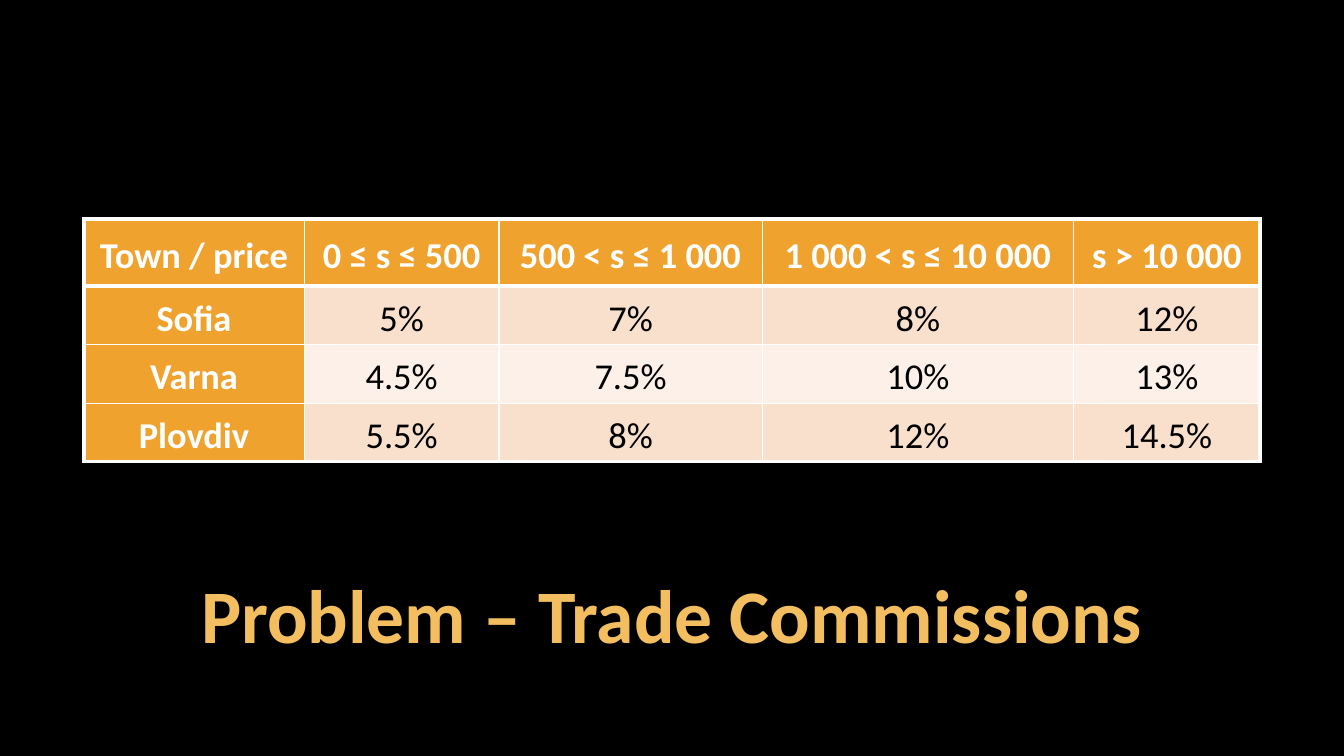
from dataclasses import dataclass

from lxml import etree
from pptx import Presentation
from pptx.dml.color import RGBColor
from pptx.enum.text import MSO_ANCHOR, PP_ALIGN
from pptx.oxml.ns import qn
from pptx.util import Inches, Pt

CENTER = PP_ALIGN.CENTER
MIDDLE = MSO_ANCHOR.MIDDLE
BOTTOM = MSO_ANCHOR.BOTTOM


@dataclass(frozen=True)
class Theme:
    font: str = "Calibri"
    title_size: int = 54
    table_size: int = 26
    background: str = "000000"
    title: str = "F3BE60"
    header_fill: str = "F0A22E"
    header_text: str = "FFFFFF"
    band_fills: tuple = ("F9E0CD", "FCF0E8")
    body_text: str = "000000"
    border: str = "FFFFFF"
    thin: int = 1
    thick: int = 3


THEME = Theme()

COMMISSIONS = [
    ["Town / price", "0 ≤ s ≤ 500", "500 < s ≤ 1 000", "1 000 < s ≤ 10 000", "s > 10 000"],
    ["Sofia", "5%", "7%", "8%", "12%"],
    ["Varna", "4.5%", "7.5%", "10%", "13%"],
    ["Plovdiv", "5.5%", "8%", "12%", "14.5%"],
]
COLUMN_WIDTHS = [2.19, 1.93, 2.61, 3.09, 1.85]
ROW_HEIGHTS = [0.67, 0.58, 0.58, 0.58]


def style_paragraph(paragraph, size, color, bold):
    paragraph.alignment = CENTER
    font = paragraph.font
    font.name = THEME.font
    font.size = Pt(size)
    font.bold = bold
    font.color.rgb = RGBColor.from_string(color)


def set_borders(cell, widths):
    """Draw the cell's edges; widths are points for left, right, top, bottom."""
    properties = cell._tc.get_or_add_tcPr()
    for index, (side, width) in enumerate(zip("LRTB", widths)):
        line = etree.Element(qn(f"a:ln{side}"), w=str(Pt(width)))
        fill = etree.SubElement(line, qn("a:solidFill"))
        etree.SubElement(fill, qn("a:srgbClr"), val=THEME.border)
        properties.insert(index, line)


def fill_cell(cell, text, is_header, band_fill):
    cell.fill.solid()
    cell.fill.fore_color.rgb = RGBColor.from_string(
        THEME.header_fill if is_header else band_fill)
    cell.vertical_anchor = MIDDLE
    cell.margin_left = cell.margin_right = Inches(0.07)
    cell.margin_top = cell.margin_bottom = 0
    cell.text = text
    paragraph = cell.text_frame.paragraphs[0]
    color = THEME.header_text if is_header else THEME.body_text
    style_paragraph(paragraph, THEME.table_size, color, is_header)
    paragraph.line_spacing = 1.15
    paragraph.space_before = paragraph.space_after = Pt(3)


def add_commission_table(slide, left, top, width, height):
    last_row, last_column = len(ROW_HEIGHTS) - 1, len(COLUMN_WIDTHS) - 1
    table = slide.shapes.add_table(
        last_row + 1, last_column + 1,
        Inches(left), Inches(top), Inches(width), Inches(height)).table
    for column, column_width in zip(table.columns, COLUMN_WIDTHS):
        column.width = Inches(column_width)
    for row, row_height in zip(table.rows, ROW_HEIGHTS):
        row.height = Inches(row_height)

    for r, values in enumerate(COMMISSIONS):
        band_fill = THEME.band_fills[(r - 1) % 2]
        for c, text in enumerate(values):
            cell = table.cell(r, c)
            fill_cell(cell, text, r == 0 or c == 0, band_fill)
            thick_edges = (c == 0, c == last_column, r in (0, 1), r in (0, last_row))
            set_borders(cell, [THEME.thick if edge else THEME.thin for edge in thick_edges])


def add_title(slide, left, top, width, height):
    title = slide.shapes.add_textbox(
        Inches(left), Inches(top), Inches(width), Inches(height))
    frame = title.text_frame
    frame.word_wrap = True
    frame.vertical_anchor = BOTTOM
    frame.margin_left = frame.margin_right = Inches(0.04)
    frame.margin_top = frame.margin_bottom = Inches(0.04)
    frame.text = "Problem – Trade Commissions"
    paragraph = frame.paragraphs[0]
    style_paragraph(paragraph, THEME.title_size, THEME.title, True)
    paragraph.line_spacing = 0.9


def main():
    presentation = Presentation()
    presentation.slide_width = Inches(13.33)
    presentation.slide_height = Inches(7.5)
    slide = presentation.slides.add_slide(presentation.slide_layouts[6])
    slide.background.fill.solid()
    slide.background.fill.fore_color.rgb = RGBColor.from_string(THEME.background)
    add_title(slide, 1.58, 5.69, 10.17, 0.9)
    add_commission_table(slide, 0.83, 2.17, sum(COLUMN_WIDTHS), sum(ROW_HEIGHTS))
    presentation.save("out.pptx")


if __name__ == "__main__":
    main()
